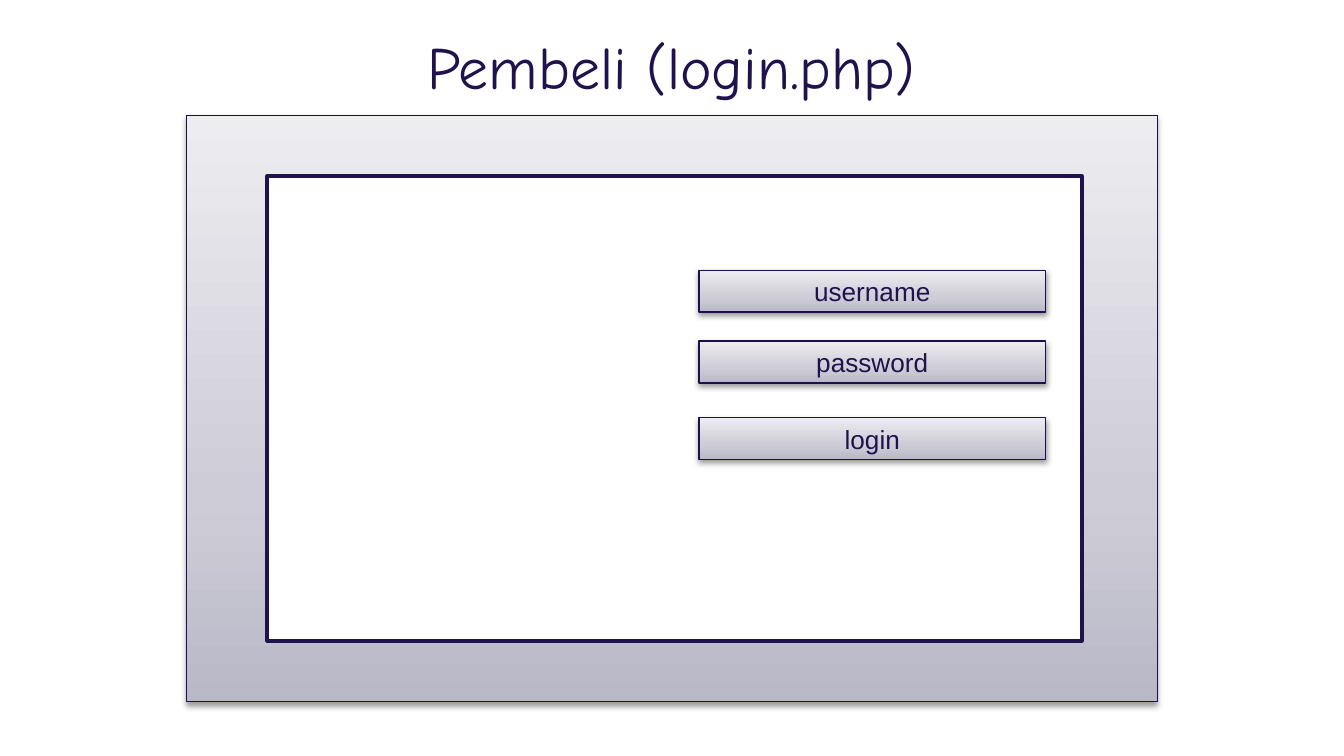
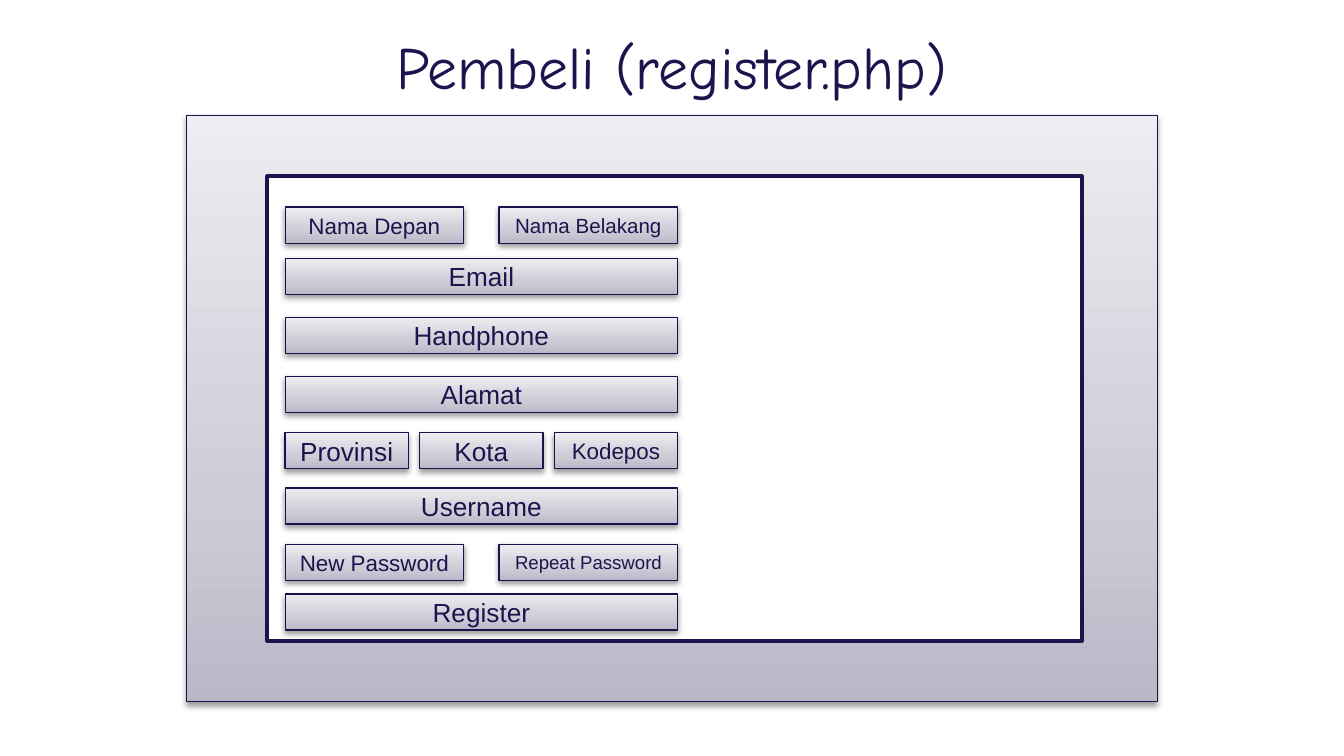
from copy import deepcopy

from lxml import etree
from pptx import Presentation
from pptx.dml.color import RGBColor
from pptx.enum.shapes import MSO_SHAPE
from pptx.enum.text import MSO_ANCHOR, PP_ALIGN
from pptx.oxml.ns import qn
from pptx.util import Pt

RECT = MSO_SHAPE.RECTANGLE
CENTER = PP_ALIGN.CENTER
MIDDLE, BOTTOM = MSO_ANCHOR.MIDDLE, MSO_ANCHOR.BOTTOM

COLORS = {
    "ink": "20124D", "edge": "1F104D", "white": "FFFFFF", "shade": "000000",
    "dark": "B9B8C7", "mid": "CECDD7", "light": "EDECF0",
}
STOPS = [(0, "dark"), (0.35, "mid"), (1, "light")]

# Boxes are left, top, width, height in points.
TITLE = (118, 14.5, 484, 47)
FRAME = (100, 62, 520, 314)
PANEL = (143.2, 94.4, 436.4, 249)
LOGIN = (374.4, 144.8, 185.8, 22.4)
FORM = (152.8, 111, 210.2, 19.4)

# Each row is its offset from the form's top, its field width, and its fields.
LOGIN_ROWS = [
    (0, 185.8, [("username", 14)]),
    (38, 185.8, [("password", 14)]),
    (79, 185.8, [("login", 14)]),
]
REGISTER_ROWS = [
    (0, 95.6, [("Nama Depan", 12), ("Nama Belakang", 11)]),
    (27.4, 210.2, [("Email", 14)]),
    (59, 210.2, [("Handphone", 14)]),
    (90.6, 210.2, [("Alamat", 14)]),
    (120.8, 66, [("Provinsi", 14), ("Kota", 14), ("Kodepos", 12)]),
    (150.4, 210.2, [("Username", 14)]),
    (180.6, 95.6, [("New Password", 12), ("Repeat Password", 10)]),
    (207.2, 210.2, [("Register", 14)]),
]


def rgb(name):
    return RGBColor.from_string(COLORS[name])


def write(shape, text, size, font, anchor):
    frame = shape.text_frame
    frame.word_wrap = True
    frame.vertical_anchor = anchor
    para = frame.paragraphs[0]
    para.text = text
    para.alignment = CENTER
    para.font.name = font
    para.font.size = Pt(size)
    para.font.color.rgb = rgb("ink")
    return frame


def add_rect(slide, box, edge, width):
    rect = slide.shapes.add_shape(RECT, *map(Pt, box))
    rect.line.color.rgb = rgb(edge)
    rect.line.width = Pt(width)
    rect.shadow.inherit = False
    return rect


def add_shade(shape):
    """Give the shape a soft shadow straight below it."""
    effects = shape.element.spPr.find(qn("a:effectLst"))
    outer = etree.SubElement(
        effects, qn("a:outerShdw"), blurRad=str(Pt(3.1)), dist=str(Pt(1.6)),
        dir="5400000", rotWithShape="0")
    color = etree.SubElement(outer, qn("a:srgbClr"), val=COLORS["shade"])
    etree.SubElement(color, qn("a:alpha"), val="38000")


def add_block(slide, box):
    """Add a grey gradient rectangle with a shadow."""
    block = add_rect(slide, box, "edge", 0.75)
    fill = block.fill
    fill.gradient()
    fill.gradient_angle = 90
    stops = block.element.spPr.find(qn("a:gradFill")).find(qn("a:gsLst"))
    stops.append(deepcopy(stops[-1]))
    for stop, (place, name) in zip(fill.gradient_stops, STOPS):
        stop.position = place
        stop.color.rgb = rgb(name)
    add_shade(block)
    return block


def add_title(slide, box, text):
    title = slide.shapes.add_textbox(*map(Pt, box))
    frame = write(title, text, 32, "Comic Neue", BOTTOM)
    frame.margin_top = frame.margin_bottom = Pt(7.2)
    frame.paragraphs[0].line_spacing = 0.8


def add_window(slide, frame, panel):
    add_block(slide, frame)
    page = add_rect(slide, panel, "ink", 2)
    page.fill.solid()
    page.fill.fore_color.rgb = rgb("white")


def add_form(slide, box, rows):
    """Spread each row's fields evenly across the box, whose height is one row."""
    left, top, span, height = box
    for drop, width, fields in rows:
        step = (span - width) / max(len(fields) - 1, 1)
        for i, (label, size) in enumerate(fields):
            field = add_block(slide, (left + i * step, top + drop, width, height))
            write(field, label, size, "Arial", MIDDLE)


def add_page(deck, title, box, rows):
    slide = deck.slides.add_slide(deck.slide_layouts[6])
    add_title(slide, TITLE, title)
    add_window(slide, FRAME, PANEL)
    add_form(slide, box, rows)


def main():
    deck = Presentation()
    deck.slide_width, deck.slide_height = Pt(720), Pt(405)
    add_page(deck, "Pembeli (login.php)", LOGIN, LOGIN_ROWS)
    add_page(deck, "Pembeli (register.php)", FORM, REGISTER_ROWS)
    deck.save("out.pptx")


if __name__ == "__main__":
    main()
